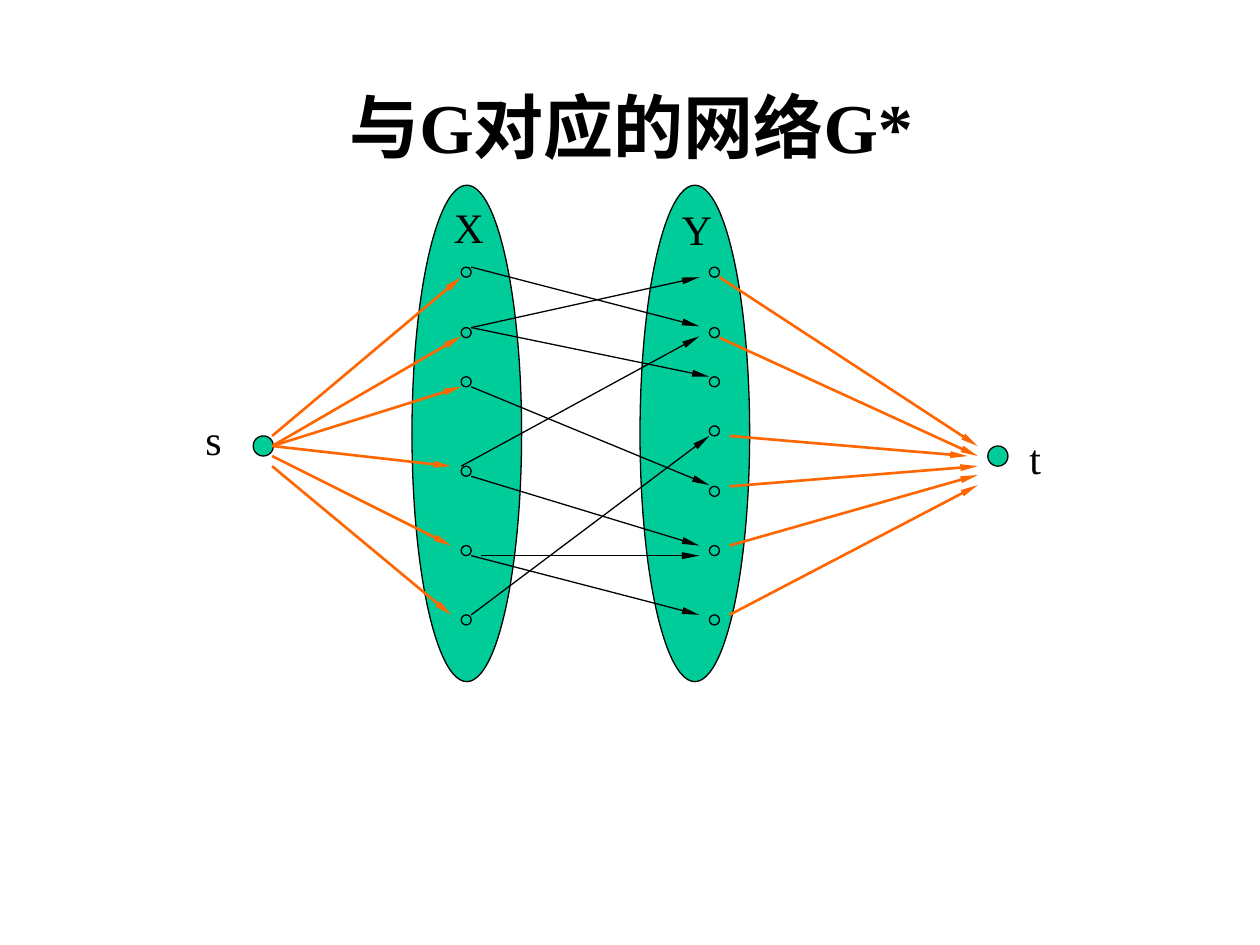
from dataclasses import dataclass
from pptx import Presentation
from pptx.dml.color import RGBColor as RGB
from pptx.enum.shapes import MSO_CONNECTOR as Conn, MSO_SHAPE as Shape
from pptx.enum.text import MSO_ANCHOR as Anchor, MSO_AUTO_SIZE as Fit, PP_ALIGN as Align
from pptx.oxml.ns import qn
from pptx.util import Inches, Pt
from lxml.etree import SubElement as Sub


@dataclass(frozen=True)
class Theme:
    ink: RGB = RGB(0x00, 0x00, 0x00)
    green: RGB = RGB(0x00, 0xCC, 0x99)
    flow: RGB = RGB(0xFF, 0x66, 0x00)
    face: str = "Times New Roman"
    title: int = 40
    label: int = 24
    thin: float = 0.75
    thick: float = 1.5


THEME = Theme()
X_TOPS = [2.12, 2.6, 2.99, 3.7, 4.33, 4.88]
Y_TOPS = [2.12, 2.6, 2.99, 3.38, 3.86, 4.33, 4.88]
OVALS = [(3.27, 1.47, 0.87, 3.94), (5.08, 1.47, 0.87, 3.94)]
ENDS = [(2.01, 3.46, 0.16, 0.16), (7.84, 3.54, 0.16, 0.16)]
NODES = [(left, top, 0.08, 0.08)
         for left, tops in ((3.66, X_TOPS), (5.63, Y_TOPS)) for top in tops]
EDGES = [
    (3.74, 2.12, 5.55, 2.59),
    (3.74, 2.6, 5.55, 2.2),
    (3.74, 2.6, 5.63, 2.99),
    (3.66, 3.7, 5.55, 2.67),
    (3.74, 3.07, 5.63, 3.85),
    (3.74, 4.88, 5.63, 3.46),
    (3.74, 4.41, 5.55, 4.88),
    (3.82, 4.41, 5.55, 4.41),
    (3.74, 3.78, 5.55, 4.33),
]
SINKS = [
    (5.71, 2.2, 7.76, 3.54),
    (5.71, 2.68, 7.76, 3.62),
    (5.79, 3.46, 7.68, 3.62),
    (5.79, 3.86, 7.76, 3.7),
    (5.79, 4.33, 7.76, 3.77),
    (5.79, 4.88, 7.76, 3.85),
]
FEEDS = [
    (2.16, 3.46, 3.66, 2.2),
    (2.16, 3.54, 3.66, 2.67),
    (2.16, 3.54, 3.66, 3.07),
    (2.16, 3.54, 3.58, 3.7),
    (2.16, 3.62, 3.58, 4.33),
    (2.16, 3.7, 3.58, 4.88),
]
LABELS = [
    ("s", 1.61, 3.23, 0.23),
    ("t", 8.15, 3.38, 0.23),
    ("X", 3.58, 1.55, 0.39),
    ("Y", 5.39, 1.57, 0.23),
]


def apply(item, values):
    for name, value in values.items():
        setattr(item, name, value)


def write(shape, text, size, bold, align, side, anchor):
    frame = shape.text_frame
    apply(frame, {
        "word_wrap": True, "auto_size": Fit.NONE, "vertical_anchor": anchor,
        "margin_left": Inches(side), "margin_right": Inches(side),
        "margin_top": Inches(0.05), "margin_bottom": Inches(0.05),
    })
    para = frame.paragraphs[0]
    para.alignment = align
    run = para.add_run()
    run.text = text
    apply(run.font, {"name": THEME.face, "size": Pt(size), "bold": bold})
    run.font.color.rgb = THEME.ink


def add_title(slide, text):
    title = slide.shapes.title
    apply(title, {"left": Inches(0.51), "top": Inches(0.52),
                  "width": Inches(9), "height": Inches(0.95)})
    write(title, text, THEME.title, True, Align.CENTER, 0.1, Anchor.MIDDLE)


def add_oval(slide, box):
    oval = slide.shapes.add_shape(Shape.OVAL, *map(Inches, box))
    oval.shadow.inherit = False
    oval.fill.solid()
    oval.fill.fore_color.rgb = THEME.green
    oval.line.color.rgb = THEME.ink
    oval.line.width = Pt(THEME.thin)


def add_arrow(slide, ends, color, width):
    arrow = slide.shapes.add_connector(Conn.STRAIGHT, *map(Inches, ends))
    arrow.line.color.rgb = color
    arrow.line.width = Pt(width)
    Sub(arrow.line._get_or_add_ln(), qn("a:tailEnd"), type="triangle", w="sm", len="lg")
    Sub(arrow._element.spPr, qn("a:effectLst"))


def add_label(slide, text, left, top, width):
    box = slide.shapes.add_textbox(*map(Inches, (left, top, width, 0.5)))
    write(box, text, THEME.label, False, Align.LEFT, 0.02, Anchor.TOP)


def main():
    deck = Presentation()
    apply(deck, {"slide_width": Inches(10), "slide_height": Inches(7.5)})
    slide = deck.slides.add_slide(deck.slide_layouts[5])
    add_title(slide, "与G对应的网络G*")
    for box in OVALS + ENDS + NODES:
        add_oval(slide, box)
    for ends in EDGES:
        add_arrow(slide, ends, THEME.ink, THEME.thin)
    for ends in SINKS + FEEDS:
        add_arrow(slide, ends, THEME.flow, THEME.thick)
    for label in LABELS:
        add_label(slide, *label)
    deck.save("out.pptx")


if __name__ == "__main__":
    main()
